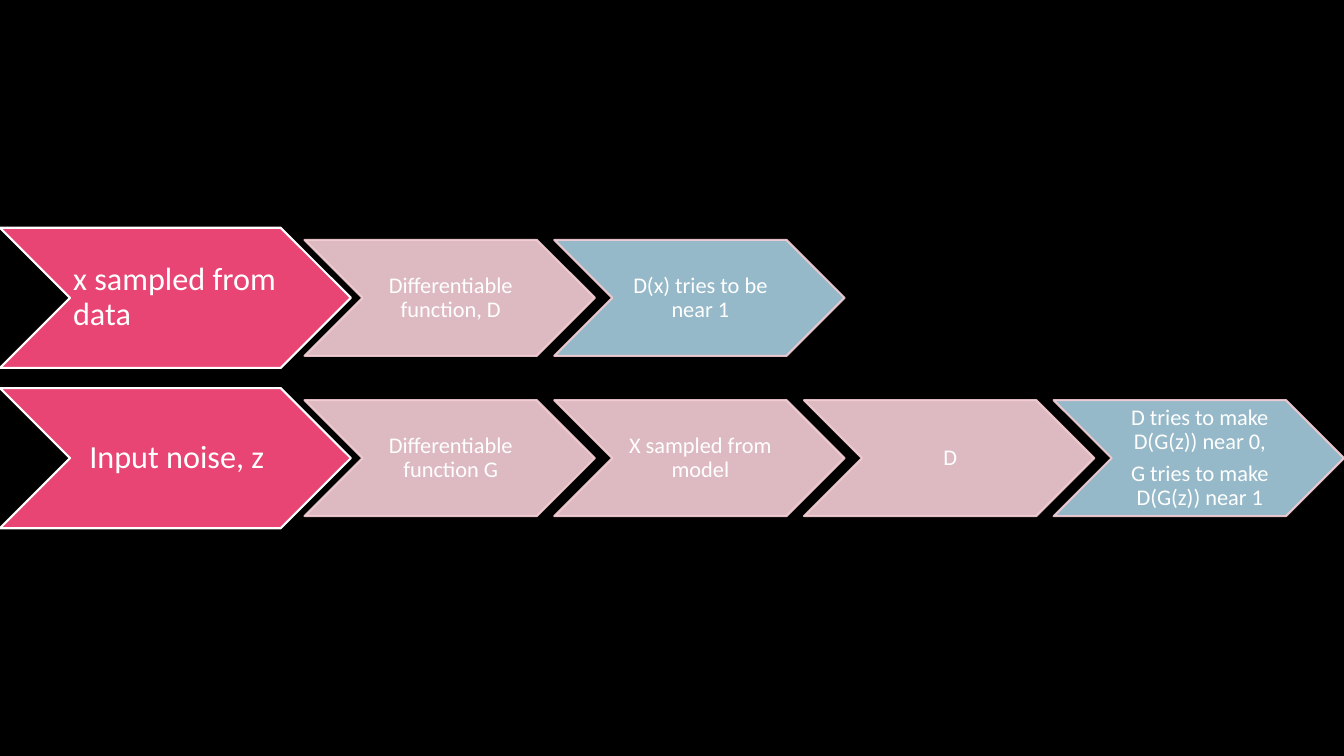
from pptx import Presentation
from pptx import util as u
from pptx.dml.color import RGBColor
from pptx.enum import shapes, text
from pptx.oxml.ns import qn
from lxml import etree

BLACK = RGBColor(0x00, 0x00, 0x00)
WHITE = RGBColor(0xFF, 0xFF, 0xFF)
CRIMSON = RGBColor(0xE8, 0x45, 0x74)
PINK = RGBColor(0xF6, 0xCF, 0xD6)
BLUE = RGBColor(0xA6, 0xCE, 0xDE)

ROW_TOP, ROW_PITCH = 2.26, 1.59
LEAD_W, LEAD_H = 3.48, 1.39
STEP_LEFT, STEP_W, STEP_H = 3.02, 2.88, 1.15
STEP_PITCH = STEP_W * 0.86

LEAD = {"fill": CRIMSON, "line": WHITE, "size": 23, "opacity": 100,
        "insets": (0.03, 0.02)}
STEP = {"fill": PINK, "line": PINK, "size": 16, "opacity": 90,
        "insets": (0.02, 0.01)}
GOAL = {**STEP, "fill": BLUE}

# Each row: lead text, lead alignment, texts of the following steps.
# The last step is the goal.
ROWS = [
    ("x sampled from data", text.PP_ALIGN.LEFT,
     ["Differentiable function, D", "D(x) tries to be near 1"]),
    ("Input noise, z", text.PP_ALIGN.CENTER,
     ["Differentiable function G", "X sampled from model", "D",
      "D tries to make D(G(z)) near 0,\nG tries to make D(G(z)) near 1"]),
]


def set_opacity(sp, percent):
    """Make the fill and the outline of a shape partly transparent."""
    for color in sp._element.spPr.iter(qn("a:srgbClr")):
        etree.SubElement(color, qn("a:alpha")).set("val", str(percent * 1000))


def write_text(sp, words, style, align):
    tf = sp.text_frame
    side, edge = (u.Inches(v) for v in style["insets"])
    frame = {"word_wrap": True, "vertical_anchor": text.MSO_ANCHOR.MIDDLE,
             "margin_left": side, "margin_right": 0,
             "margin_top": edge, "margin_bottom": edge}
    for name, value in frame.items():
        setattr(tf, name, value)
    tf.text = words
    for i, p in enumerate(tf.paragraphs):
        p.alignment = align
        p.line_spacing = 0.9
        p.space_before = u.Pt(5.6 if i else 0)
        p.font.name = "Calibri"
        p.font.size = u.Pt(style["size"])
        p.font.color.rgb = WHITE


def add_chevron(s, box, words, style, align=text.PP_ALIGN.CENTER):
    sp = s.shapes.add_shape(shapes.MSO_SHAPE.CHEVRON,
                            *(u.Inches(v) for v in box))
    sp.shadow.inherit = False
    sp.fill.solid()
    sp.fill.fore_color.rgb = style["fill"]
    sp.line.color.rgb = style["line"]
    sp.line.width = u.Pt(1.5)
    if style["opacity"] < 100:
        set_opacity(sp, style["opacity"])
    write_text(sp, words, style, align)


def add_row(s, top, lead, align, steps):
    add_chevron(s, (0, top, LEAD_W, LEAD_H), lead, LEAD, align)
    step_top = top + (LEAD_H - STEP_H) / 2
    for i, words in enumerate(steps):
        style = GOAL if i == len(steps) - 1 else STEP
        left = STEP_LEFT + i * STEP_PITCH
        add_chevron(s, (left, step_top, STEP_W, STEP_H), words, style)


def main():
    prs = Presentation()
    prs.slide_width = u.Inches(13.33)
    prs.slide_height = u.Inches(7.5)
    s = prs.slides.add_slide(prs.slide_layouts[6])
    s.background.fill.solid()
    s.background.fill.fore_color.rgb = BLACK
    for i, row in enumerate(ROWS):
        add_row(s, ROW_TOP + i * ROW_PITCH, *row)
    prs.save("out.pptx")


if __name__ == "__main__":
    main()
